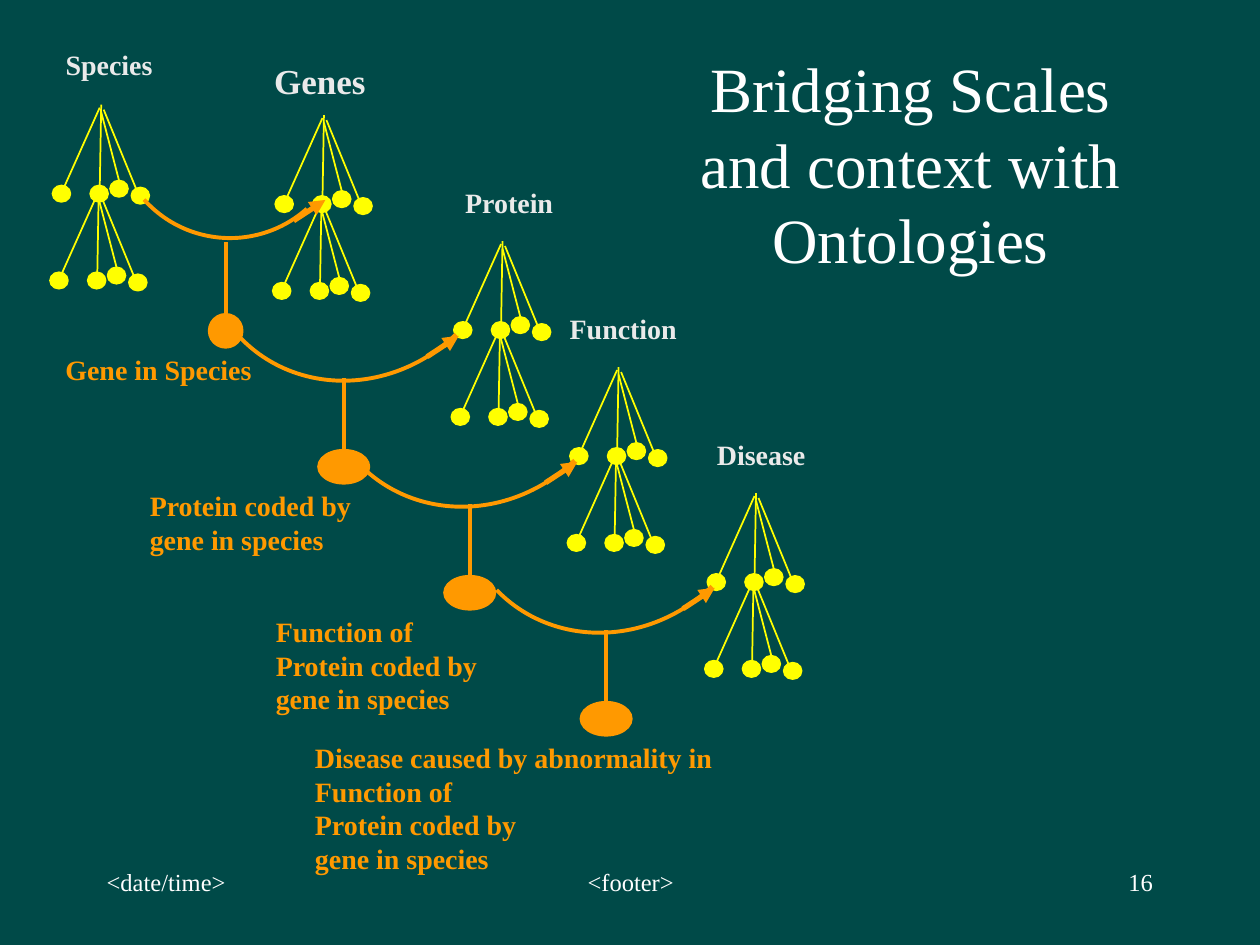
"""Build a slide of ontology trees joined by bridging arcs."""
from lxml import etree
from pptx import Presentation, util as u
from pptx.dml import color
from pptx.enum import shapes, text
from pptx.oxml import ns

COLORS = {"background": "004A48", "tree": "FFFF00", "bridge": "FF9900",
          "label": "EAEAEA", "white": "FFFFFF"}
FONT = "Times New Roman"
LEFT, CENTER, RIGHT = text.PP_ALIGN.LEFT, text.PP_ALIGN.CENTER, text.PP_ALIGN.RIGHT

BRANCHES = [(0, 0, -0.03, 1.74), (-0.03, 0.06, -0.81, 1.8),
            (0, 0.15, 0.43, 1.8), (0.05, 0.1, 0.76, 1.83)]
LEAVES = [(0.61, 1.67), (0.18, 1.53), (-0.22, 1.63), (-0.98, 1.63)]
LEVEL_STEP = (-0.05, 1.75)

TREES = [
    ((2.04, 2.11), "Species", (1.07, 0.84, 2.26, 0.94), 16),
    ((6.53, 2.32), "Genes", (5.15, 1.07, 2.6, 1.12), 20),
    ((10.13, 4.86), "Protein", (9.12, 3.61, 2.29, 0.94), 16),
    ((12.47, 7.4), "Function", (11.23, 6.15, 2.67, 0.94), 16),
    ((15.24, 9.94), "Disease", (14.2, 8.69, 2.29, 0.94), 16),
]

WIDE_ARC = (6.35, 5.92, 136)
PROTEIN = ["Protein coded by", "gene in species"]
FUNCTION = ["Function of"] + PROTEIN
DISEASE = ["Disease caused by abnormality in"] + FUNCTION
BRIDGES = [
    ((4.55, 4.88), (2.31, 0.15), (4.65, 4.65, 138.2), 5.92, 0.64,
     ["Gene in Species"], (1.07, 4.27, 0.94)),
    ((6.93, 7.62), (3.96, 1.65), WIDE_ARC, 8.61, 0.99, PROTEIN, (2.77, 4.57, 1.63)),
    ((9.47, 10.16), (6.35, 4.19), WIDE_ARC, 11, 0.99, FUNCTION, (5.31, 4.57, 2.29)),
    ((12.22, 12.7), (9.12, 6.73), WIDE_ARC, 13.77, 0.99, DISEASE, (6.1, 8.51, 2.97)),
]

FOOTERS = [("<date/time>", 1.9, 5.28, LEFT), ("<footer>", 8.69, 8.05, CENTER),
           ("16", 18.21, 5.28, RIGHT)]


def rgb(name):
    """Return a palette colour."""
    return color.RGBColor.from_string(COLORS[name])


def add_text(slide, lines, box, size, color_name, align=LEFT, bold=False, wrap=False):
    """Add a text box holding one paragraph of the given lines."""
    shape = slide.shapes.add_textbox(*map(u.Cm, box))
    frame = shape.text_frame
    frame.word_wrap = wrap
    if not wrap:
        frame.auto_size = text.MSO_AUTO_SIZE.SHAPE_TO_FIT_TEXT
    paragraph = frame.paragraphs[0]
    paragraph.alignment = align
    for index, line in enumerate(lines):
        if index:
            paragraph.add_line_break()
        run = paragraph.add_run()
        run.text = line
        run.font.name = FONT
        run.font.size = u.Pt(size)
        run.font.bold = bold
        run.font.color.rgb = rgb(color_name)
    return shape


def add_line(parent, ends, color_name, width, arrow=False):
    """Add a straight line, with an arrowhead at its end if asked."""
    line = parent.shapes.add_connector(shapes.MSO_CONNECTOR.STRAIGHT, *map(u.Cm, ends))
    line.line.color.rgb = rgb(color_name)
    line.line.width = u.Pt(width)
    if arrow:
        etree.SubElement(line.line._get_or_add_ln(), ns.qn("a:tailEnd"), type="triangle")
    etree.SubElement(line._element.spPr, ns.qn("a:effectLst"))


def add_outline(parent, kind, box, color_name, width, filled=True):
    """Add a preset shape whose line and fill share a colour."""
    shape = parent.shapes.add_shape(kind, *map(u.Cm, box))
    shape.shadow.inherit = False
    if filled:
        shape.fill.solid()
        shape.fill.fore_color.rgb = rgb(color_name)
    else:
        shape.fill.background()
    shape.line.color.rgb = rgb(color_name)
    shape.line.width = u.Pt(width)
    return shape


def add_tree(slide, apex):
    """Add a two-level tree as a group."""
    group = slide.shapes.add_group_shape()
    for level in range(2):
        x, y = (start + level * step for start, step in zip(apex, LEVEL_STEP))
        for x1, y1, x2, y2 in BRANCHES:
            add_line(group, (x + x1, y + y1, x + x2, y + y2), "tree", 1)
        for left, top in LEAVES:
            add_outline(group, shapes.MSO_SHAPE.OVAL, (x + left, y + top, 0.36, 0.33), "tree", 1)


def add_bridge(slide, stem, arc_at, arc_form, arrow_x, node_width, lines, caption):
    """Add an arc with its arrow, stem, node and caption."""
    x, y = stem
    width, height, rotation = arc_form
    arc = add_outline(slide, shapes.MSO_SHAPE.ARC, (*arc_at, width, height),
                      "bridge", 2.25, filled=False)
    arc.rotation = rotation
    add_line(slide, (arrow_x, y - 0.43, arrow_x + 0.64, y - 0.85), "bridge", 3, arrow=True)
    add_line(slide, (x, y, x, y + 1.9), "bridge", 2.25)
    add_outline(slide, shapes.MSO_SHAPE.OVAL,
                (x - node_width / 2, y + 1.47, node_width, 0.64), "bridge", 2.25)
    left, text_width, text_height = caption
    add_text(slide, lines, (left, y + 2.11, text_width, text_height), 16, "bridge", bold=True)


def main():
    """Build and save the slide."""
    presentation = Presentation()
    presentation.slide_width, presentation.slide_height = u.Cm(25.4), u.Cm(19.05)
    slide = presentation.slides.add_slide(presentation.slide_layouts[6])
    slide.background.fill.solid()
    slide.background.fill.fore_color.rgb = rgb("background")
    for words, left, width, align in FOOTERS:
        add_text(slide, [words], (left, 17.35, width, 1.27), 14, "white", align, wrap=True)
    title = add_text(slide, ["Bridging Scales and context with Ontologies"],
                     (13.21, 1.7, 10.29, 3.18), 36, "white", CENTER, wrap=True)
    title.text_frame.vertical_anchor = text.MSO_ANCHOR.MIDDLE
    for apex, name, box, size in TREES:
        add_tree(slide, apex)
        add_text(slide, [name], box, size, "label", CENTER, bold=True)
    for bridge in BRIDGES:
        add_bridge(slide, *bridge)
    presentation.save("out.pptx")


main()
